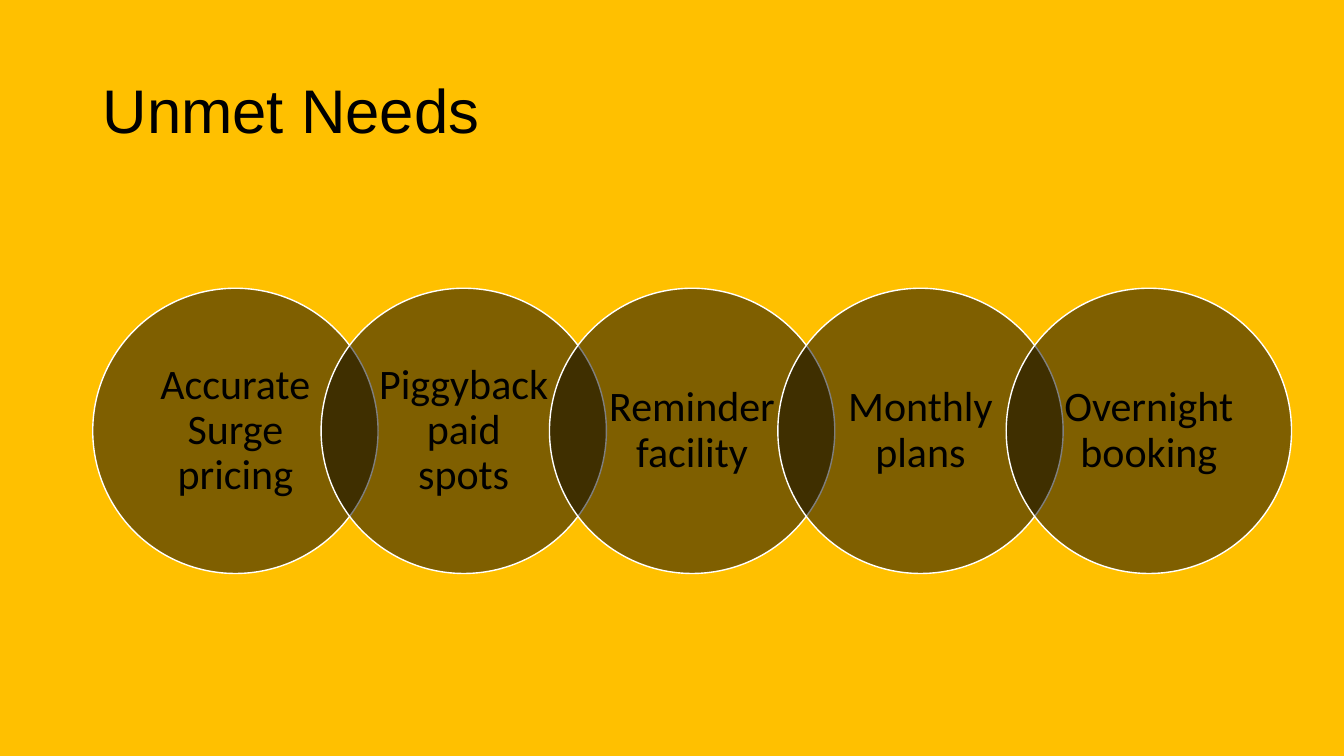
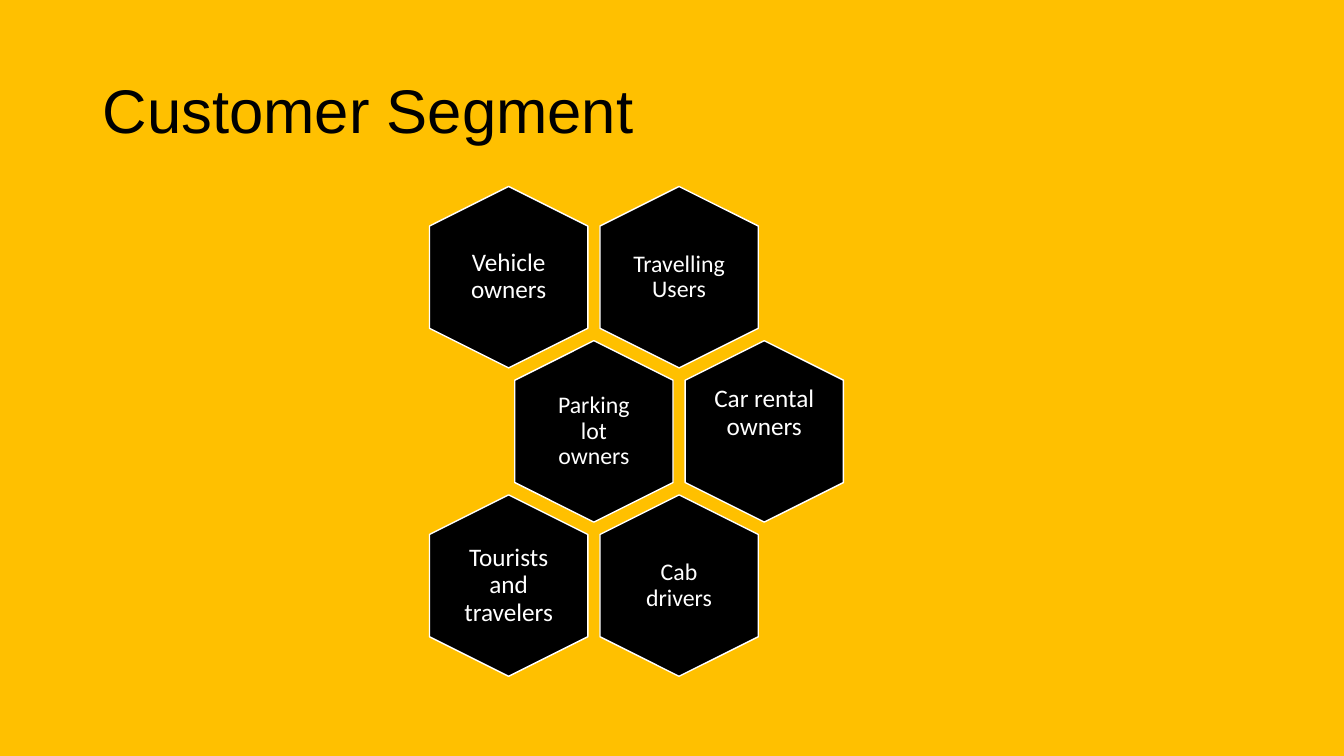
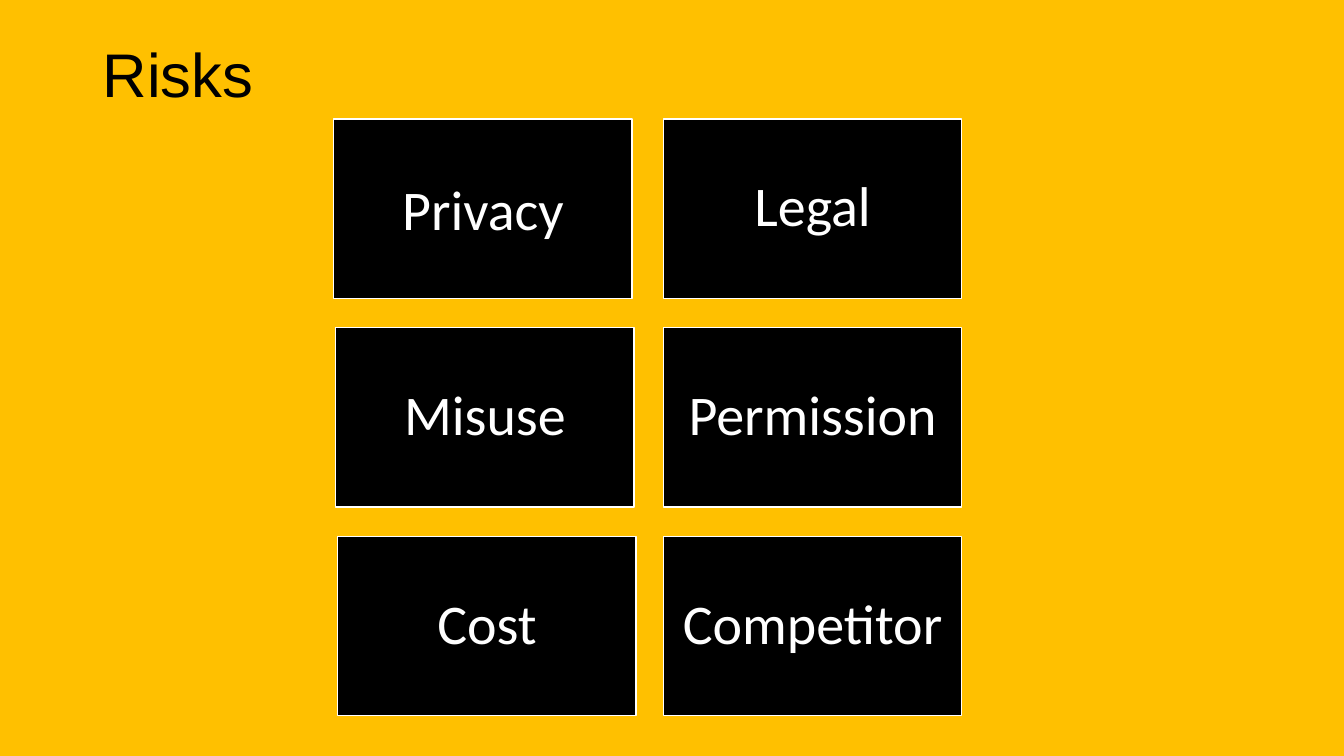
from lxml import etree
from pptx import Presentation
from pptx import util as u
from pptx.dml import color
from pptx.enum import shapes, text
from pptx.oxml import ns

PX = 9144
COLORS = {"amber": "FFC000", "black": "000000", "white": "FFFFFF"}
TITLE_BOX = (92, 40, 1150, 145)

NEEDS = ["Accurate Surge pricing", "Piggyback paid spots", "Reminder facility",
         "Monthly plans", "Overnight booking"]
SEGMENTS = [
    [("Vehicle owners", 18, 0), ("Travelling Users", 17, 0)],
    [("Parking lot owners", 17, 0), ("Car rental owners", 18, 18)],
    [("Tourists and travelers", 18, 0), ("Cab drivers", 17, 0)],
]
RISKS = [[("Privacy", -4), ("Legal", 0)],
         [("Misuse", 0), ("Permission", 0)],
         [("Cost", 0), ("Competitor", 0)]]


def px(length):
    """Turn a length in px into EMU."""
    return u.Emu(round(length * PX))


def rgb(name):
    """Look up a palette colour."""
    return color.RGBColor.from_string(COLORS[name])


def put_text(holder, words, size, ink="black", font="Calibri", inset=(0, 0),
             lift=0, align=text.PP_ALIGN.CENTER):
    """Write one middle-anchored paragraph, raised by lift px."""
    frame = holder.text_frame
    frame.word_wrap = True
    frame.vertical_anchor = text.MSO_ANCHOR.MIDDLE
    side, edge = inset
    frame.margin_left = frame.margin_right = px(side)
    frame.margin_top = px(edge + max(0, -2 * lift))
    frame.margin_bottom = px(edge + max(0, 2 * lift))
    paragraph = frame.paragraphs[0]
    paragraph.alignment = align
    paragraph.line_spacing = 0.9
    run = paragraph.add_run()
    run.text = words
    run.font.name = font
    run.font.size = u.Pt(size)
    run.font.color.rgb = rgb(ink)


def add_tile(slide, preset, box, opacity=100):
    """Add a black preset shape with a thin white outline."""
    tile = slide.shapes.add_shape(preset, *map(px, box))
    tile.shadow.inherit = False
    tile.fill.solid()
    tile.fill.fore_color.rgb = rgb("black")
    tile.line.color.rgb = rgb("white")
    tile.line.width = u.Pt(1)
    if opacity < 100:
        ink = tile.fill._xPr.find(".//" + ns.qn("a:srgbClr"))
        etree.SubElement(ink, ns.qn("a:alpha"), val=str(opacity * 1000))
    return tile


def add_titled_slide(prs, heading, lift=0):
    """Add a blank slide with the shared title."""
    slide = prs.slides.add_slide(prs.slide_layouts[6])
    title = slide.shapes.add_textbox(*map(px, TITLE_BOX))
    put_text(title, heading, 44, font="Arial", inset=(10, 5), lift=lift,
             align=text.PP_ALIGN.LEFT)
    return slide


def add_need_chain(slide, left, top, diameter, pitch):
    """Draw the overlapping translucent circles."""
    for index, need in enumerate(NEEDS):
        box = (left + index * pitch, top, diameter, diameter)
        circle = add_tile(slide, shapes.MSO_SHAPE.OVAL, box, opacity=50)
        put_text(circle, need, 30, inset=(15, 4))


def add_segment_honeycomb(slide, left, top, width, height):
    """Draw upright hexagons, shifting every second row by half a pitch."""
    pitch_x, pitch_y = 169, 153
    label_w, label_h = 108, 124
    for row, segments in enumerate(SEGMENTS):
        for col, (segment, size, lift) in enumerate(segments):
            mid_x = left + width / 2 + (col + row % 2 / 2) * pitch_x
            mid_y = top + height / 2 + row * pitch_y
            hexagon = add_tile(slide, shapes.MSO_SHAPE.HEXAGON,
                               (mid_x - height / 2, mid_y - width / 2, height, width))
            hexagon.rotation = 90
            label = slide.shapes.add_textbox(
                *map(px, (mid_x - label_w / 2, mid_y - label_h / 2, label_w, label_h)))
            pad = 7 if size == 17 else 0
            put_text(label, segment, size, "white", inset=(pad, pad), lift=lift)


def add_risk_grid(slide, left, top, width, height):
    """Draw the risk cards; the left column steps right by 2 px a row."""
    pitch_x, pitch_y, step = 327, 207, 2
    for row, risks in enumerate(RISKS):
        for col, (risk, lift) in enumerate(risks):
            x = left + (pitch_x if col else row * step)
            card = add_tile(slide, shapes.MSO_SHAPE.RECTANGLE,
                            (x, top + row * pitch_y, width, height))
            put_text(card, risk, 40, "white", inset=(17, 17), lift=lift)


def main():
    """Build and save the three slides."""
    prs = Presentation()
    prs.slide_width, prs.slide_height = px(1333), px(750)
    backdrop = prs.slide_master.background.fill
    backdrop.solid()
    backdrop.fore_color.rgb = rgb("amber")

    add_need_chain(add_titled_slide(prs, "Unmet Needs"), 92, 286, 283, 226.5)
    add_segment_honeycomb(add_titled_slide(prs, "Customer Segment"), 426, 185, 157, 180)
    add_risk_grid(add_titled_slide(prs, "Risks", lift=36), 331, 118, 296, 178)
    prs.save("out.pptx")


if __name__ == "__main__":
    main()
